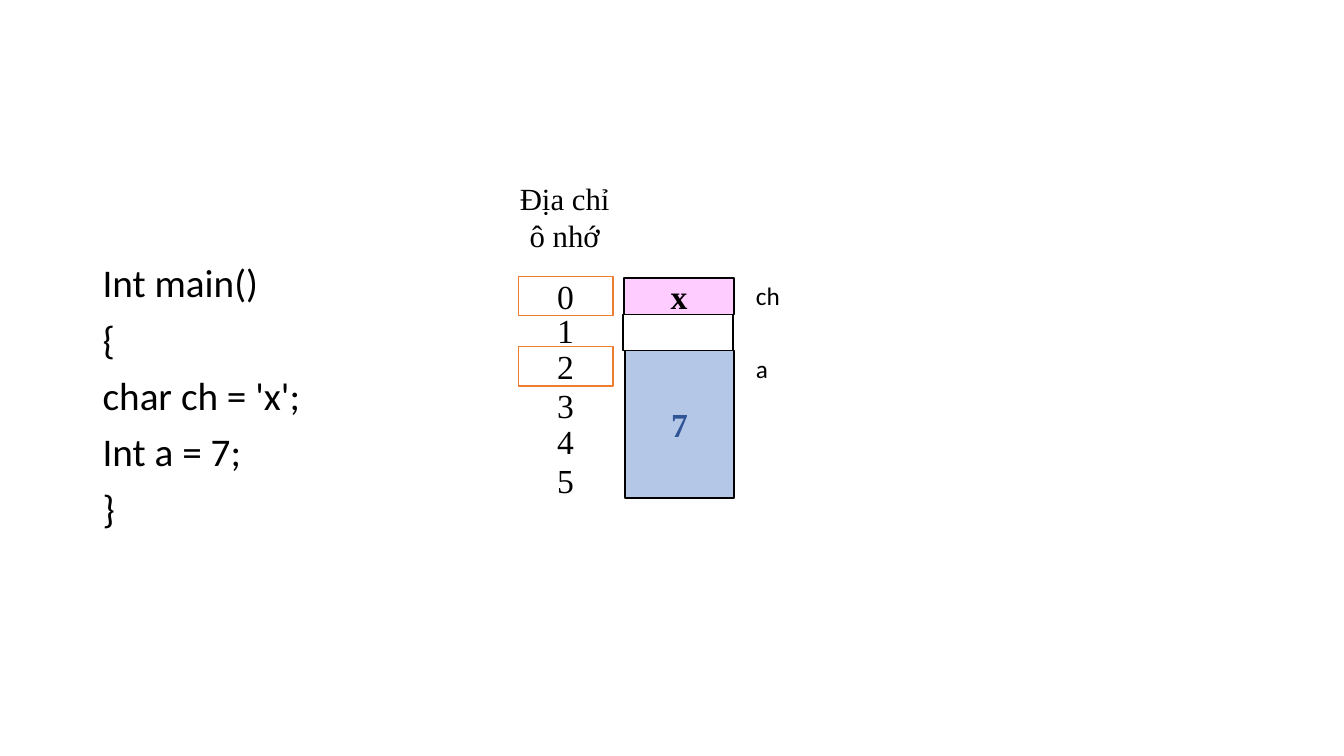
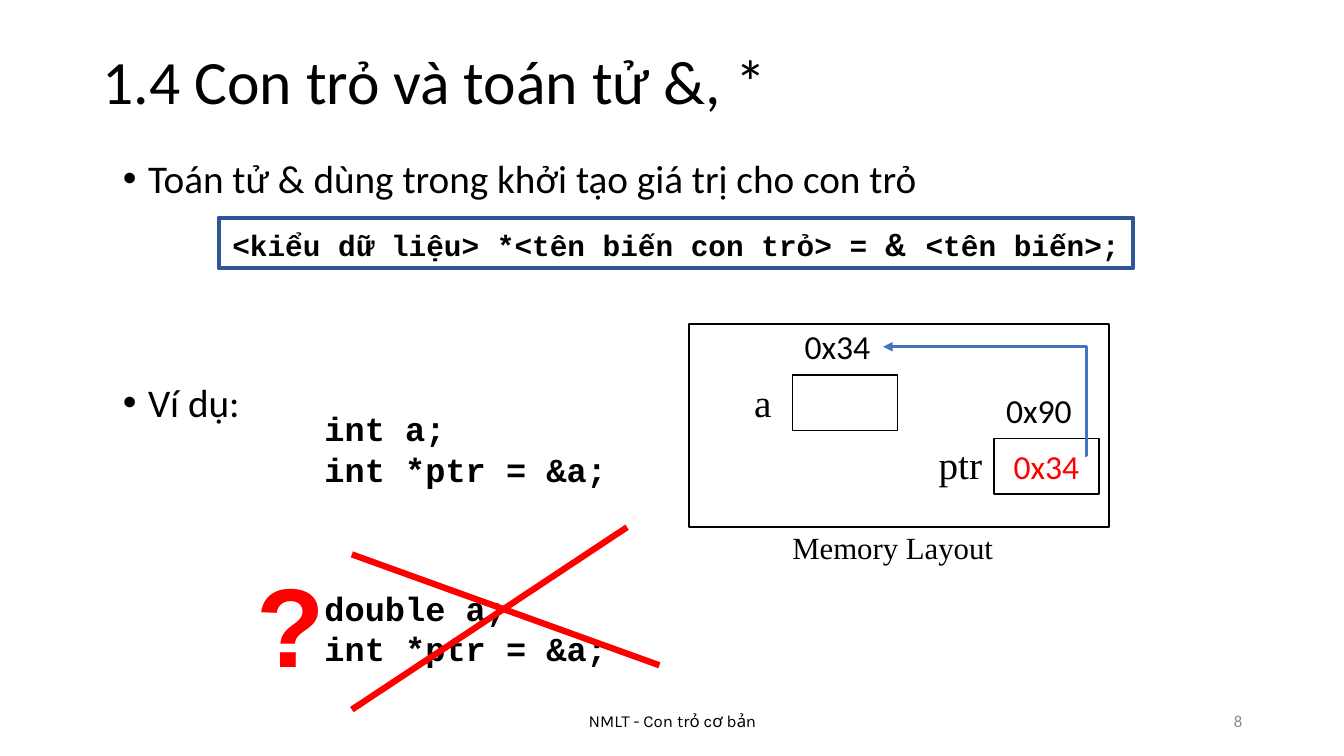
import dataclasses

import pptx
import pptx.dml.color
import pptx.enum.shapes
import pptx.enum.text
import pptx.oxml
import pptx.oxml.ns
import pptx.util
from pptx.util import Inches

SHAPE = pptx.enum.shapes.MSO_SHAPE
CONNECTOR = pptx.enum.shapes.MSO_CONNECTOR
ALIGN = pptx.enum.text.PP_ALIGN
ANCHOR = pptx.enum.text.MSO_ANCHOR


@dataclasses.dataclass(frozen=True)
class Theme:
    """Colours, fonts and type sizes of the deck."""
    black: str = "000000"
    white: str = "FFFFFF"
    red: str = "FF0000"
    navy: str = "2F5597"
    blue: str = "4472C4"
    pale_blue: str = "B4C7E7"
    pink: str = "FFCCFF"
    orange: str = "ED7D31"
    grey: str = "8C8C8C"
    sans: str = "Calibri"
    serif: str = "Times New Roman"
    mono: str = "Courier New"
    mark: str = "Arial"
    footer: str = "Karla"
    title_size: int = 44
    body_size: int = 28
    cell_size: int = 24
    caption_size: int = 22
    syntax_size: int = 21
    label_size: int = 18
    footer_size: int = 12
    mark_size: int = 80


T = Theme()


def rgb(value):
    """Turn a hex string into a colour."""
    return pptx.dml.color.RGBColor.from_string(value)


def add_xml(parent, tag, **attributes):
    """Append a drawing element and return it."""
    element = pptx.oxml.parse_xml(f"<a:{tag} {pptx.oxml.ns.nsdecls('a')}/>")
    for name, value in attributes.items():
        element.set(name, value)
    parent.append(element)
    return element


def write(sp, text, size=T.cell_size, font=T.sans, color=T.black, bold=False,
          align=ALIGN.CENTER, anchor=ANCHOR.MIDDLE, spacing=None, before=(), bullet=None):
    """Fill a shape with paragraphs, each a string or a list of (text, size) runs."""
    tf = sp.text_frame
    tf.word_wrap = True
    tf.vertical_anchor = anchor
    paragraphs = [text] if isinstance(text, str) else text
    for i, runs in enumerate(paragraphs):
        p = tf.paragraphs[0] if i == 0 else tf.add_paragraph()
        p.alignment = align
        if spacing:
            p.line_spacing = spacing
        if before:
            p.space_before = pptx.util.Pt(before[i])
        if bullet:
            pPr = p._p.get_or_add_pPr()
            pPr.set("marL", str(Inches(0.25)))
            pPr.set("indent", str(Inches(-0.25)))
            add_xml(pPr, "buFont", typeface=T.mark)
            add_xml(pPr, "buChar", char=bullet)
        for run_text, run_size in [(runs, size)] if isinstance(runs, str) else runs:
            r = p.add_run()
            r.text = run_text
            r.font.size = pptx.util.Pt(run_size)
            r.font.name = font
            r.font.bold = bold
            r.font.color.rgb = rgb(color)


class Deck:
    """Holds the presentation and the current slide."""

    def __init__(self):
        """Start a widescreen presentation."""
        self.prs = pptx.Presentation()
        self.prs.slide_width = Inches(13.33)
        self.prs.slide_height = Inches(7.5)
        self.s = None

    def slide(self):
        """Add a blank slide."""
        self.s = self.prs.slides.add_slide(self.prs.slide_layouts[6])

    def text(self, x, y, w, h, text, **fmt):
        """Add a text box."""
        sp = self.s.shapes.add_textbox(Inches(x), Inches(y), Inches(w), Inches(h))
        write(sp, text, **fmt)

    def body(self, x, y, w, h, text, **fmt):
        """Add body text."""
        self.text(x, y, w, h, text, size=T.body_size, align=ALIGN.LEFT,
                  anchor=ANCHOR.TOP, spacing=0.9, **fmt)

    def note(self, x, y, w, h, text, **fmt):
        """Add text that starts at the top left of its box."""
        self.text(x, y, w, h, text, align=ALIGN.LEFT, anchor=ANCHOR.TOP, **fmt)

    def title(self, text):
        """Add the slide title."""
        self.text(0.92, 0.4, 11.5, 0.87, text, size=T.title_size,
                  align=ALIGN.LEFT, spacing=0.9)

    def footer(self, text, number):
        """Add the footer and slide number."""
        self.text(4.42, 6.95, 4.5, 0.4, text, size=T.footer_size, font=T.footer)
        self.text(9.42, 6.95, 3, 0.4, number, size=T.footer_size,
                  color=T.grey, align=ALIGN.RIGHT)

    def box(self, x, y, w, h, text=None, fill=None, line=T.black, width=1, **fmt):
        """Add an outlined rectangle."""
        sp = self.s.shapes.add_shape(SHAPE.RECTANGLE, Inches(x), Inches(y),
                                     Inches(w), Inches(h))
        sp.shadow.inherit = False
        if fill:
            sp.fill.solid()
            sp.fill.fore_color.rgb = rgb(fill)
        else:
            sp.fill.background()
        sp.line.color.rgb = rgb(line)
        sp.line.width = pptx.util.Pt(width)
        if text:
            write(sp, text, **fmt)

    def line(self, start, end, color, width, kind=CONNECTOR.STRAIGHT):
        """Add a connector without a shadow and return it."""
        points = [Inches(v) for v in (*start, *end)]
        cx = self.s.shapes.add_connector(kind, *points)
        cx.line.color.rgb = rgb(color)
        cx.line.width = pptx.util.Pt(width)
        add_xml(cx._element.spPr, "effectLst")
        return cx

    def bent_arrow(self, start, end, color, width, bend):
        """Add an elbow arrow that turns at the given share of its width."""
        cx = self.line(start, end, color, width, CONNECTOR.ELBOW)
        geometry = cx._element.spPr.find(pptx.oxml.ns.qn("a:prstGeom"))
        guides = geometry.find(pptx.oxml.ns.qn("a:avLst"))
        if guides is None:
            guides = add_xml(geometry, "avLst")
        add_xml(guides, "gd", name="adj1", fmla=f"val {round(bend * 100000)}")
        add_xml(cx.line._get_or_add_ln(), "tailEnd", type="triangle")


def memory_cells(d):
    """Build the slide that shows variables in memory cells."""
    d.slide()
    code = ["Int main()", "{", "char ch = 'x';", "Int a = 7;", "}"]
    d.body(0.92, 2.57, 11.5, 4.19, code, before=[10] * len(code))
    d.box(6.2, 3.48, 1.08, 1.46, "7", fill=T.pale_blue, font=T.serif,
          color=T.navy, bold=True)
    d.box(6.19, 2.76, 1.09, 0.36, "x", fill=T.pink, font=T.serif, bold=True)
    d.box(6.18, 3.12, 1.09, 0.36)
    for address, top in enumerate((2.74, 3.08, 3.44, 3.82, 4.18, 4.57)):
        cell = (5.14, top, 0.94, 0.39, str(address))
        if address in (0, 2):
            d.box(*cell, fill=T.white, line=T.orange, font=T.serif)
        else:
            d.text(*cell, font=T.serif)
    d.text(5.01, 1.81, 1.18, 0.68, "Địa chỉ ô nhớ", size=T.caption_size, font=T.serif)
    for name, top in (("ch", 2.73), ("a", 3.46)):
        d.note(7.4, top, 3, 0.4, name, size=T.label_size)


def pointer_operators(d):
    """Build the slide on pointers and the address operator."""
    d.slide()
    d.title("1.4 Con trỏ và toán tử &, *")
    d.body(1.12, 1.53, 9.57, 5.48,
           ["Toán tử & dùng trong khởi tạo giá trị cho con trỏ", "Ví dụ:"],
           before=(10, 130), bullet="•")
    d.footer("NMLT - Con trỏ cơ bản", "8")
    d.box(2.17, 2.16, 9.07, 0.5,
          [[("<kiểu dữ liệu> *<tên biến con trỏ> = ", T.syntax_size),
            ("& ", T.cell_size), ("<tên biến>;", T.syntax_size)]],
          line=T.navy, width=3, font=T.mono, bold=True, anchor=ANCHOR.TOP)
    for kind, top in (("int", 4), ("double", 5.78)):
        d.note(3.12, top, 3.04, 0.91, [f"{kind} a;", "int *ptr = &a;"],
               font=T.mono, bold=True)
    for start, end in (((3.49, 5.5), (6.54, 6.6)), ((6.22, 5.23), (3.49, 7.04))):
        d.line(start, end, T.red, 4.5)
    d.note(2.45, 5.46, 0.89, 1.45, "?", size=T.mark_size, font=T.mark,
           color=T.red, bold=True)
    d.box(6.83, 3.21, 4.17, 2.02, fill=T.white, width=1.5)
    d.box(9.86, 4.35, 1.04, 0.55, "0x34", fill=T.white, color=T.red)
    d.box(7.86, 3.72, 1.04, 0.55, fill=T.white)
    for name, x, y in (("ptr", 8.98, 4.43), ("a", 7.02, 3.81)):
        d.text(x, y, 1.09, 0.35, name, size=T.body_size, font=T.serif)
    for address, x, y in (("0x90", 9.76, 3.89), ("0x34", 7.76, 3.26)):
        d.text(x, y, 1.09, 0.35, address)
    d.note(7.76, 5.2, 3.42, 0.47, "Memory Layout", size=T.caption_size, font=T.serif)
    d.bent_arrow((10.76, 4.52), (8.76, 3.44), T.blue, 2.25, bend=-0.01)


def main():
    """Build and save the deck."""
    d = Deck()
    memory_cells(d)
    pointer_operators(d)
    d.prs.save("out.pptx")


if __name__ == "__main__":
    main()
